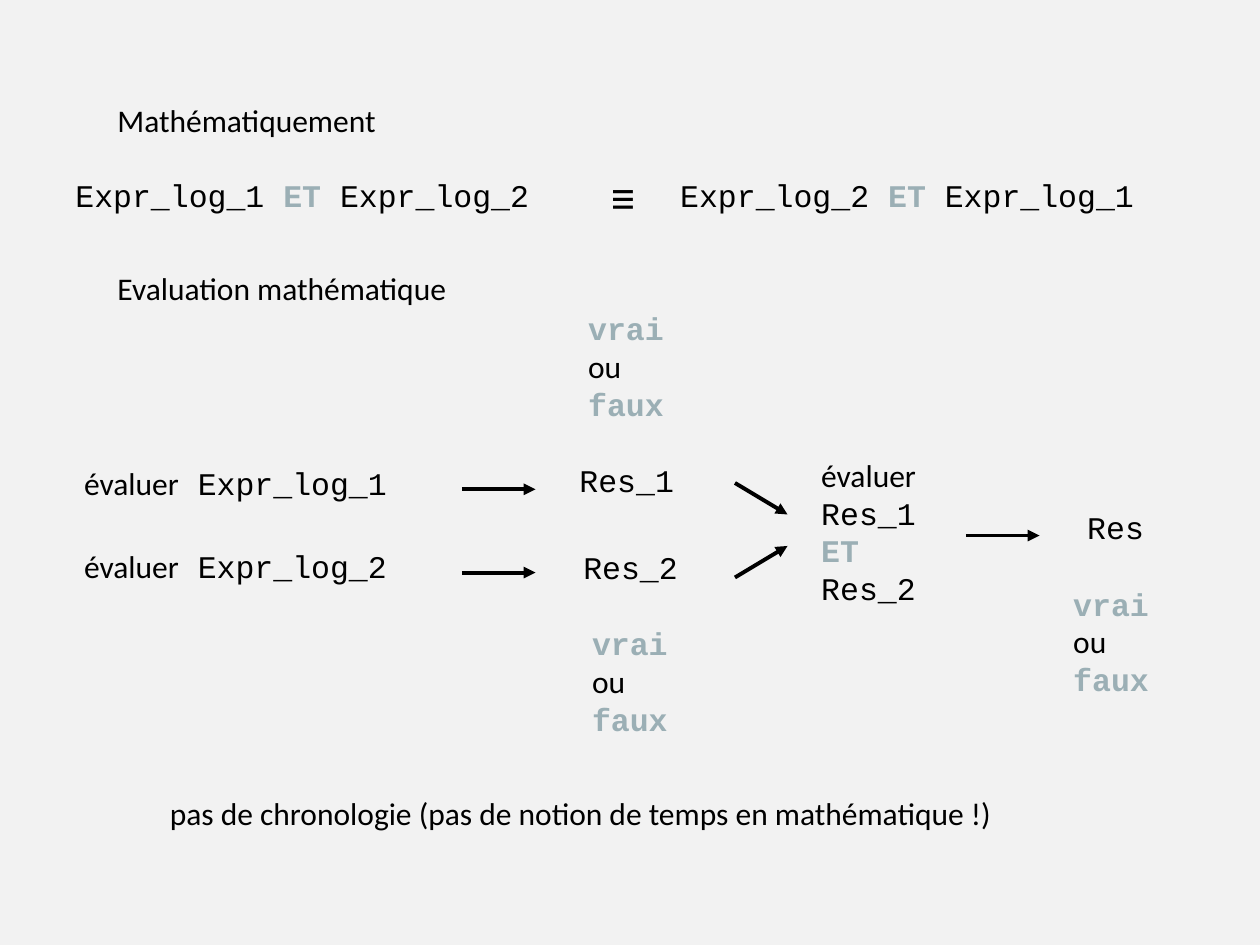
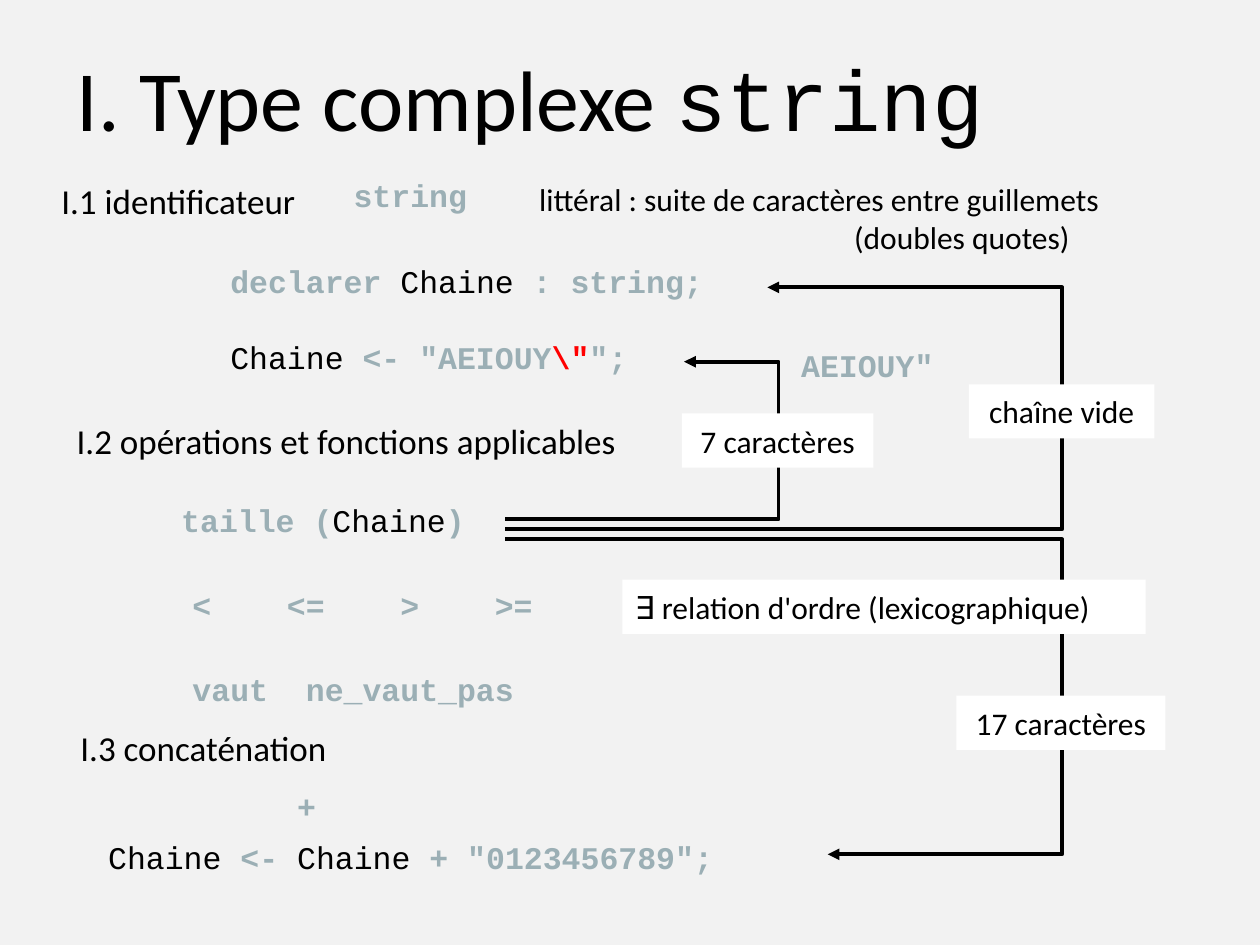
from lxml import etree
from pptx import Presentation
from pptx.dml.color import RGBColor
from pptx.enum.shapes import MSO_CONNECTOR, MSO_SHAPE
from pptx.enum.text import MSO_ANCHOR, PP_ALIGN
from pptx.oxml.ns import qn
from pptx.util import Pt

STRAIGHT = MSO_CONNECTOR.STRAIGHT
RECTANGLE = MSO_SHAPE.RECTANGLE
MIDDLE = MSO_ANCHOR.MIDDLE
LEFT, CENTER = PP_ALIGN.LEFT, PP_ALIGN.CENTER

BACKGROUND = RGBColor(0xF2, 0xF2, 0xF2)
BLACK = RGBColor(0, 0, 0)
WHITE = RGBColor(0xFF, 0xFF, 0xFF)
GREY_BLUE = RGBColor(0x9B, 0xAF, 0xB5)
RED = RGBColor(0xFF, 0, 0)

SANS, MONO = "Calibri", "Courier New"
LINE_HEIGHT = 31
PLAIN = ({"name": SANS, "size": Pt(18), "bold": False}, BLACK)
HEADING = ({"name": SANS, "size": Pt(20), "bold": False}, BLACK)
SYMBOL = ({"name": SANS, "size": Pt(28), "bold": False}, BLACK)
CODE = ({"name": MONO, "size": Pt(18), "bold": False}, BLACK)
KEYWORD = ({"name": MONO, "size": Pt(18), "bold": True}, GREY_BLUE)
ESCAPE = ({"name": MONO, "size": Pt(18), "bold": True}, RED)
TITLE = ({"name": SANS, "size": Pt(49), "bold": False}, BLACK)
TITLE_CODE = ({"name": MONO, "size": Pt(49), "bold": False}, BLACK)
TRUTH_VALUES = [[("vrai", KEYWORD)], [("ou", PLAIN)], [("faux", KEYWORD)]]


def fill_text(frame, paragraphs, align=LEFT):
    """Write paragraphs, each a list of (text, style) runs, into a frame."""
    frame.word_wrap = True
    for index, runs in enumerate(paragraphs):
        paragraph = frame.paragraphs[0] if index == 0 else frame.add_paragraph()
        paragraph.alignment = align
        for text, (formats, colour) in runs:
            run = paragraph.add_run()
            run.text = text
            for name, value in formats.items():
                setattr(run.font, name, value)
            run.font.color.rgb = colour


def add_text(slide, left, top, width, *paragraphs):
    """Add a text box and return its frame."""
    height = LINE_HEIGHT * len(paragraphs)
    box = slide.shapes.add_textbox(Pt(left), Pt(top), Pt(width), Pt(height))
    fill_text(box.text_frame, paragraphs)
    return box.text_frame


def add_label(slide, left, top, width, text, align=CENTER):
    """Add a white caption that covers the line behind it."""
    label = slide.shapes.add_shape(RECTANGLE, Pt(left), Pt(top), Pt(width), Pt(LINE_HEIGHT))
    label.shadow.inherit = False
    label.fill.solid()
    label.fill.fore_color.rgb = WHITE
    label.line.fill.background()
    fill_text(label.text_frame, [[(text, PLAIN)]], align)


def style_arrow(arrow):
    """Give a line its colour, width and final arrowhead, without shadow."""
    arrow.line.color.rgb = BLACK
    arrow.line.width = Pt(2.25)
    properties = arrow._element.spPr
    etree.SubElement(properties.find(qn("a:ln")), qn("a:tailEnd"), type="triangle")
    etree.SubElement(properties, qn("a:effectLst"))


def add_arrow(slide, left, top, width, rise=0):
    """Draw a straight arrow to the right."""
    arrow = slide.shapes.add_connector(
        STRAIGHT, Pt(left), Pt(top), Pt(left + width), Pt(top + rise))
    style_arrow(arrow)


def add_elbow(slide, left, start, corner, end, tip):
    """Draw an arrow that goes right, turns at the corner and returns to its tip."""
    builder = slide.shapes.build_freeform(Pt(left), Pt(start))
    points = [(corner, start), (corner, end), (tip, end)]
    builder.add_line_segments([(Pt(x), Pt(y)) for x, y in points], close=False)
    elbow = builder.convert_to_shape()
    elbow.fill.background()
    style_arrow(elbow)


def set_tabs(frame, *positions):
    """Set left tab stops on the first paragraph of a frame."""
    properties = frame.paragraphs[0]._p.get_or_add_pPr()
    tabs = etree.SubElement(properties, qn("a:tabLst"))
    for position in positions:
        etree.SubElement(tabs, qn("a:tab"), pos=str(Pt(position)), algn="l")


def add_equivalence(slide, left, top):
    """State that the logical AND commutes."""
    add_text(slide, left + 24, top, 175, [("Mathématiquement", PLAIN)])
    for offset, first, second in [(0, 1, 2), (345.6, 2, 1)]:
        add_text(slide, left + offset, top + 43.2, 302, [
            (f"Expr_log_{first} ", CODE), ("ET", KEYWORD), (f" Expr_log_{second}", CODE)])
    add_text(slide, left + 306, top + 37.4, 36, [("≡", SYMBOL)])


def add_evaluation(slide, left, top):
    """Show both expressions evaluated and merged into one result."""
    add_text(slide, left + 19, top, 224, [("Evaluation mathématique", PLAIN)])
    branches = [(1, 111.4, 283, 110, 126, 18), (2, 159, 285.2, 159.6, 180, -18)]
    for number, row, result_left, result_top, start, rise in branches:
        add_text(slide, left, top + row, 205,
                 [("évaluer", PLAIN), (f" Expr_log_{number}", CODE)])
        add_arrow(slide, left + 223, top + row + 18.2, 42)
        add_text(slide, left + result_left, top + result_top, 74, [(f"Res_{number}", CODE)])
        add_arrow(slide, left + 379, top + start, 30, rise)
    add_text(slide, left + 421.2, top + 107, 74, [("évaluer", PLAIN)],
             [("Res_1", CODE)], [("ET", KEYWORD)], [("Res_2", CODE)])
    add_arrow(slide, left + 511, top + 156, 42)
    add_text(slide, left + 573.2, top + 136.6, 50, [("Res", CODE)])
    for x, y in [(288, 23), (290.2, 203), (565.2, 180.5)]:
        add_text(slide, left + x, top + y, 63, *TRUTH_VALUES)


def add_title(slide, left, top, width, height):
    """Place and write the slide title."""
    title = slide.shapes.title
    box = {"left": left, "top": top, "width": width, "height": height}
    for name, value in box.items():
        setattr(title, name, Pt(value))
    title.text_frame.vertical_anchor = MIDDLE
    fill_text(title.text_frame, [[("I. Type complexe ", TITLE), ("string", TITLE_CODE)]])


def add_identifier(slide, left, top):
    """Present the type name, its literals and a declaration."""
    add_text(slide, left, top + 2, 161, [("I.1 identificateur", HEADING)])
    add_text(slide, left + 167, top, 86, [("string", KEYWORD)])
    literal = add_text(slide, left + 273, top + 2, 361,
                       [("littéral : suite de caractères entre guillemets", PLAIN)],
                       [("(doubles quotes)", PLAIN)])
    literal.paragraphs[1]._p.get_or_add_pPr().set("marL", str(Pt(180)))
    code = add_text(slide, left + 96.5, top + 49, 315,
                    [("declarer ", KEYWORD), ("Chaine", CODE), (" : string;", KEYWORD)],
                    [("Chaine", CODE), (" <- \"AEIOUY", KEYWORD),
                     ("\\\"", ESCAPE), ("\";", KEYWORD)])
    code.paragraphs[1].space_before = Pt(22)
    add_text(slide, left + 422.7, top + 97.2, 99, [("AEIOUY\"", KEYWORD)])


def add_operations(slide, left, top):
    """List the operators and functions that apply to strings."""
    add_text(slide, left, top, 351, [("I.2 opérations et fonctions applicables", HEADING)])
    add_text(slide, left + 59.8, top + 46.8, 194,
             [("taille (", KEYWORD), ("Chaine", CODE), (")", KEYWORD)])
    orders = add_text(slide, left + 66.2, top + 95, 230, [("<\t<=\t>\t>=", KEYWORD)])
    set_tabs(orders, 54, 118.8, 172.8)
    equalities = add_text(slide, left + 66.2, top + 143.3, 218,
                          [("vaut\tne_vaut_pas", KEYWORD)])
    set_tabs(equalities, 64.8)


def add_concatenation(slide, left, top):
    """Show the concatenation operator and its use."""
    add_text(slide, left, top, 166, [("I.3 concaténation", HEADING)])
    add_text(slide, left + 123.8, top + 34.6, 27, [("+", KEYWORD)])
    add_text(slide, left + 15.8, top + 63.4, 398, [
        ("Chaine", CODE), (" <- ", KEYWORD), ("Chaine", CODE),
        (" + \"0123456789\";", KEYWORD)])


def add_lengths(slide, left, top):
    """Link the length function to the string each value comes from."""
    links = [
        (138.2, 318.2, 0, 149.8, 265, 55.4, 106, "chaîne vide"),
        (132.5, 156.2, 42.5, 102.2, 101, 72, 109.4, "7 caractères"),
        (144, 318.2, 324, 184.3, 257.8, 233.3, 119.5, "17 caractères"),
    ]
    for start, corner, end, tip, label_left, label_top, width, text in links:
        add_elbow(slide, left, top + start, left + corner, top + end, left + tip)
        add_label(slide, left + label_left, top + label_top, width, text)
    add_label(slide, left + 67, top + 167, 299, "∃ relation d'ordre (lexicographique)", LEFT)


def add_slide(presentation, layout_name):
    """Add a slide with the shared background."""
    slide = presentation.slides.add_slide(presentation.slide_layouts.get_by_name(layout_name))
    slide.background.fill.solid()
    slide.background.fill.fore_color.rgb = BACKGROUND
    return slide


def build_evaluation_slide(presentation):
    """Build the slide on mathematical evaluation."""
    slide = add_slide(presentation, "Blank")
    add_equivalence(slide, 36, 54)
    add_evaluation(slide, 41, 150)
    add_text(slide, 90, 450, 520, [
        ("pas de chronologie (pas de notion de temps en mathématique !)", PLAIN)])


def build_string_slide(presentation):
    """Build the slide on the string type."""
    slide = add_slide(presentation, "Title Only")
    add_title(slide, 36.7, 19.4, 647, 72)
    add_identifier(slide, 28, 97.2)
    add_operations(slide, 36.7, 236.2)
    add_concatenation(slide, 38.9, 411.8)
    add_lengths(slide, 288.7, 164.2)


def main():
    """Build and save the presentation."""
    presentation = Presentation()
    presentation.slide_width = Pt(720)
    presentation.slide_height = Pt(540)
    build_evaluation_slide(presentation)
    build_string_slide(presentation)
    presentation.save("out.pptx")


if __name__ == "__main__":
    main()
